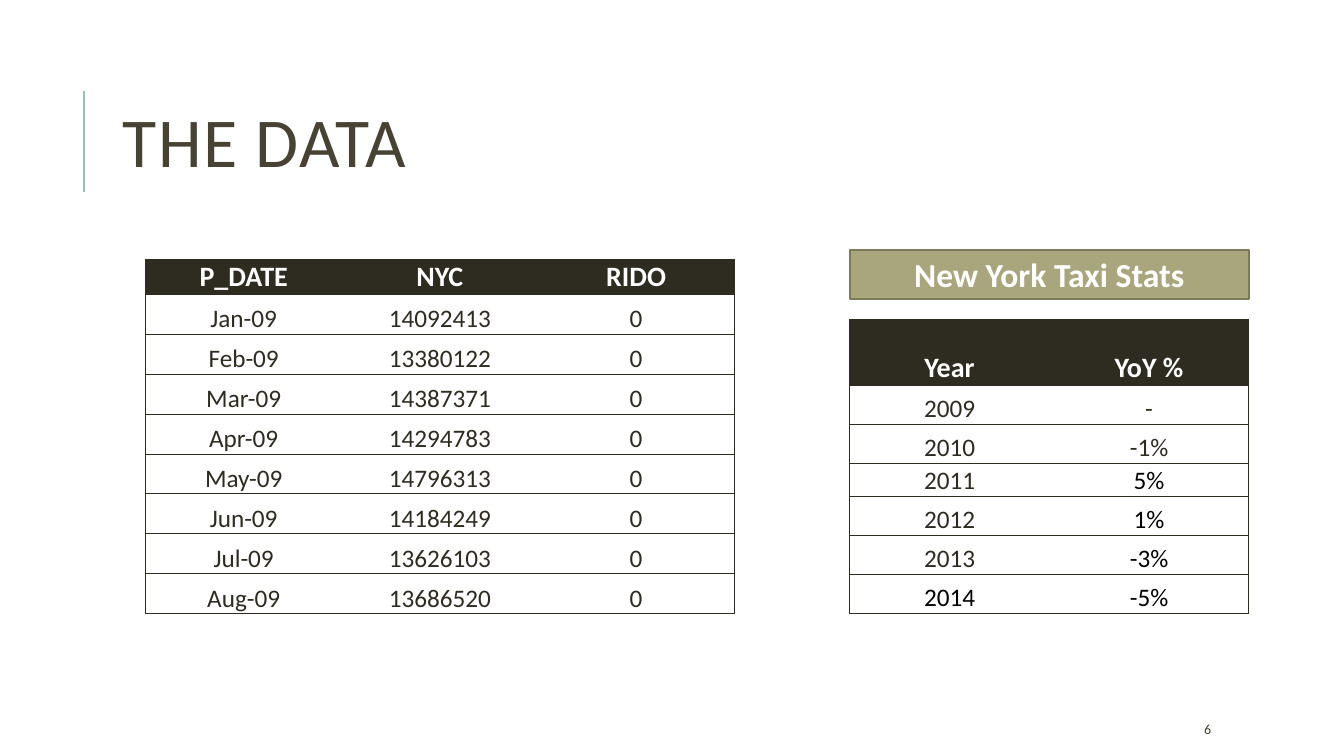
from lxml import etree
from pptx import Presentation
from pptx.dml.color import RGBColor
from pptx.enum.shapes import MSO_CONNECTOR, MSO_SHAPE
from pptx.enum.text import MSO_ANCHOR, PP_ALIGN
from pptx.oxml.ns import qn
from pptx.util import Pt

LEFT, CENTER = PP_ALIGN.LEFT, PP_ALIGN.CENTER
MIDDLE, BOTTOM = MSO_ANCHOR.MIDDLE, MSO_ANCHOR.BOTTOM
RECTANGLE, STRAIGHT = MSO_SHAPE.RECTANGLE, MSO_CONNECTOR.STRAIGHT

DARK, BROWN, WHITE, BLACK = "2E2B21", "474233", "FFFFFF", "000000"
TEAL, OLIVE, OLIVE_EDGE = "9CBEBD", "A9A57C", "7D7A5C"

TITLE, PAGE_NUMBER, STATS_HEADING = "THE DATA", "6", "New York Taxi Stats"
TRIPS = [
    ("P_DATE", "NYC", "RIDO"),
    ("Jan-09", "14092413", "0"),
    ("Feb-09", "13380122", "0"),
    ("Mar-09", "14387371", "0"),
    ("Apr-09", "14294783", "0"),
    ("May-09", "14796313", "0"),
    ("Jun-09", "14184249", "0"),
    ("Jul-09", "13626103", "0"),
    ("Aug-09", "13686520", "0"),
]
GROWTH = [
    ("Year", "YoY %"),
    ("2009", "-"),
    ("2010", "-1%"),
    ("2011", "5%"),
    ("2012", "1%"),
    ("2013", "-3%"),
    ("2014", "-5%"),
]
BLACK_GROWTH = {"5%", "1%", "-3%", "2014", "-5%"}

TRIPS_HEIGHTS = [25.1] + [28.57] * 8
GROWTH_HEIGHTS = [47, 27.9, 27.9, 23.6, 27.9, 27.9, 27.9]
STATS_LEFT, STATS_WIDTH = 607, 285

HEADER_FONT = {"size": Pt(20), "bold": True}
BODY_FONT = {"size": Pt(18), "bold": False}
CELL_FORMAT = {
    "vertical_anchor": BOTTOM, "margin_left": Pt(0.72),
    "margin_right": Pt(0.72), "margin_top": Pt(0.72), "margin_bottom": 0,
}


def color(hex_text):
    return RGBColor.from_string(hex_text)


def apply(target, values):
    for name, value in values.items():
        setattr(target, name, value)


def write(frame, text, hex_text, font, align=CENTER):
    para = frame.paragraphs[0]
    para.alignment = align
    span = para.add_run()
    span.text = text
    apply(span.font, {"name": "Calibri", **font})
    span.font.color.rgb = color(hex_text)
    return para, span


def add_text(page, place, text, size):
    box = page.shapes.add_textbox(*map(Pt, place))
    apply(box.text_frame, {"word_wrap": True, "vertical_anchor": MIDDLE})
    return write(box.text_frame, text, BROWN, {"size": Pt(size)}, LEFT)


def set_border(cell, side, visible):
    line = etree.SubElement(cell._tc.get_or_add_tcPr(), qn("a:ln" + side))
    line.set("w", str(Pt(0.75)))
    if visible:
        fill = etree.SubElement(line, qn("a:solidFill"))
        etree.SubElement(fill, qn("a:srgbClr")).set("val", DARK)
    else:
        etree.SubElement(line, qn("a:noFill"))


def add_grid(page, rows, left, top, width, heights, black_texts=()):
    count = len(rows[0])
    place = map(Pt, (left, top, width, sum(heights)))
    table = page.shapes.add_table(len(rows), count, *place).table
    table.horz_banding = False
    for column in table.columns:
        column.width = Pt(width / count)
    for r, (values, height) in enumerate(zip(rows, heights)):
        table.rows[r].height = Pt(height)
        for c, text in enumerate(values):
            cell = table.cell(r, c)
            apply(cell, CELL_FORMAT)
            edges = {"L": c == 0, "R": c == count - 1, "T": True, "B": True}
            for side, visible in edges.items():
                set_border(cell, side, visible)
            if r == 0:
                cell.fill.solid()
                cell.fill.fore_color.rgb = color(DARK)
                write(cell.text_frame, text, WHITE, HEADER_FONT)
            else:
                cell.fill.background()
                ink = BLACK if text in black_texts else DARK
                write(cell.text_frame, text, ink, BODY_FONT)


deck = Presentation()
apply(deck, {"slide_width": Pt(960), "slide_height": Pt(540)})
page = deck.slides.add_slide(deck.slide_layouts[6])

rule = page.shapes.add_connector(STRAIGHT, *map(Pt, (60, 137, 60, 65)))
rule.line.color.rgb = color(TEAL)
rule.line.width = Pt(1.5)
etree.SubElement(rule._element.spPr, qn("a:effectLst"))

title_para, title_span = add_text(page, (80.6, 46, 765.4, 118), TITLE, 50)
title_para.line_spacing = 0.8
title_span._r.get_or_add_rPr().set("spc", "100")
add_text(page, (853, 510, 76, 21.6), PAGE_NUMBER, 10)

add_grid(page, TRIPS, 104, 185, 420.5, TRIPS_HEIGHTS)
add_grid(page, GROWTH, STATS_LEFT, 228.3, STATS_WIDTH, GROWTH_HEIGHTS, BLACK_GROWTH)

banner = page.shapes.add_shape(RECTANGLE, *map(Pt, (STATS_LEFT, 178.5, STATS_WIDTH, 35)))
banner.shadow.inherit = False
banner.fill.solid()
banner.fill.fore_color.rgb = color(OLIVE)
banner.line.color.rgb = color(OLIVE_EDGE)
banner.line.width = Pt(1.25)
banner.text_frame.vertical_anchor = MIDDLE
write(banner.text_frame, STATS_HEADING, WHITE, {"size": Pt(24), "bold": True})

deck.save("out.pptx")
